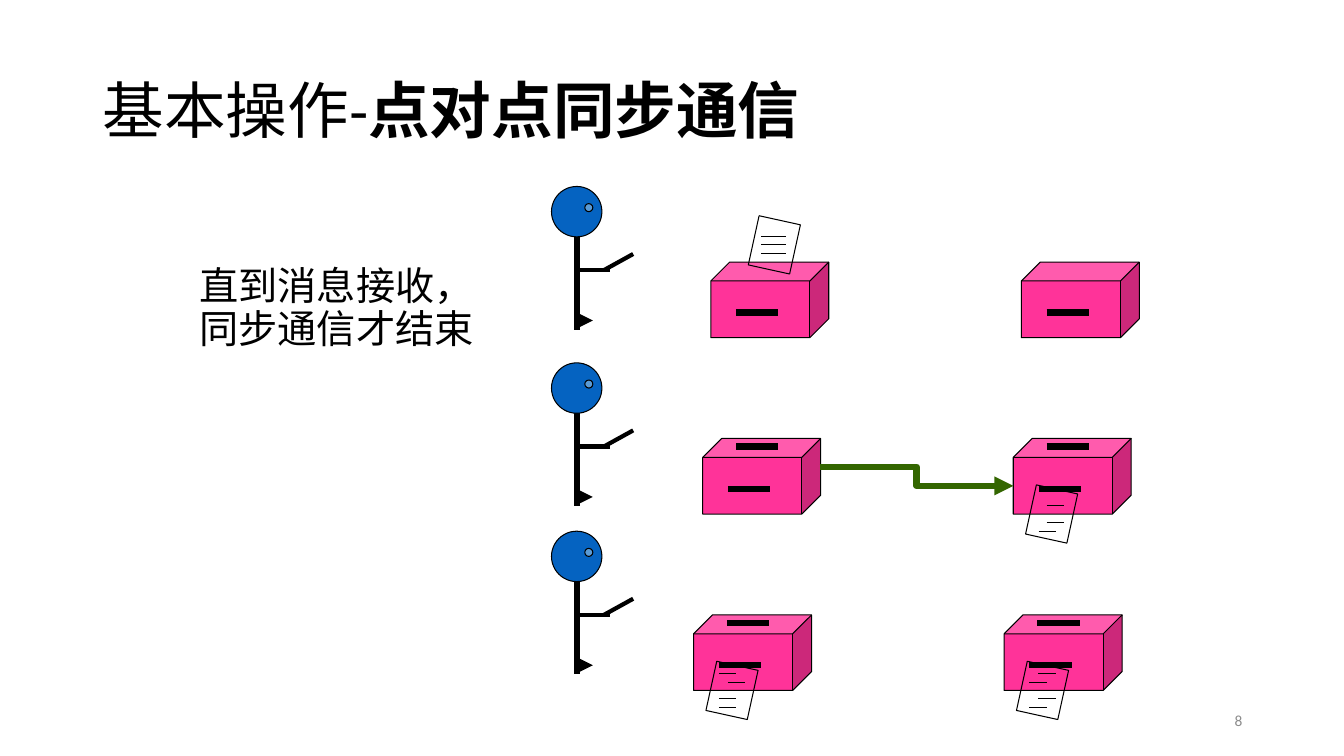
from dataclasses import dataclass

from lxml.etree import SubElement
from pptx import Presentation
from pptx.dml.color import RGBColor
from pptx.enum.shapes import MSO_CONNECTOR, MSO_SHAPE
from pptx.enum.text import MSO_ANCHOR, PP_ALIGN
from pptx.oxml.ns import qn
from pptx.util import Inches, Pt


@dataclass(frozen=True)
class Theme:
    font: str = "Calibri"
    black: str = "000000"
    grey: str = "8C8C8C"
    head: str = "0563C1"
    eye: str = "5B9BD5"
    mailbox: str = "FF3399"
    arrow: str = "336600"
    title_size: float = 44
    body_size: float = 28
    number_size: float = 11
    thin: float = 0.75
    medium: float = 3
    thick: float = 4.5


THEME = Theme()
COLUMN_GAP = 3.08

# Ruled lines on a letter: (x, y) offsets from its corner
FULL_RULES = [(0.08, 0.17), (0.08, 0.25), (0.08, 0.34)]
ARRIVED_RULES = [(0.16, 0.17), (0.16, 0.33), (0.08, 0.42)]
LEFT_RULES = [(0.08, 0.08), (0.17, 0.17), (0.08, 0.33), (0.08, 0.42)]
RIGHT_RULES = [(0.17, 0.08), (0.08, 0.17), (0.17, 0.33), (0.08, 0.42)]


def add_text(page, text, left, top, width, height, *, size, color=THEME.black,
             bold_part="", anchor=MSO_ANCHOR.TOP, align=PP_ALIGN.LEFT, spacing=1.0):
    """Add a one-paragraph text box; bold_part follows the plain text."""
    box = page.shapes.add_textbox(Inches(left), Inches(top), Inches(width), Inches(height))
    frame = box.text_frame
    frame.word_wrap = True
    frame.vertical_anchor = anchor
    para = frame.paragraphs[0]
    para.alignment = align
    para.line_spacing = spacing
    for part, bold in ((text, False), (bold_part, True)):
        if part:
            span = para.add_run()
            span.text = part
            span.font.name = THEME.font
            span.font.size = Pt(size)
            span.font.bold = bold
            span.font.color.rgb = RGBColor.from_string(color)


def add_figure(page, kind, left, top, width, height, *, fill=None, rotation=0):
    """Add a thinly outlined preset shape, hollow when fill is None."""
    shape = page.shapes.add_shape(kind, Inches(left), Inches(top), Inches(width), Inches(height))
    shape.shadow.inherit = False
    shape.rotation = rotation
    if fill:
        shape.fill.solid()
        shape.fill.fore_color.rgb = RGBColor.from_string(fill)
    else:
        shape.fill.background()
    shape.line.color.rgb = RGBColor.from_string(THEME.black)
    shape.line.width = Pt(THEME.thin)


def add_line(page, x1, y1, x2, y2, *, weight, color=THEME.black,
             kind=MSO_CONNECTOR.STRAIGHT, arrow=False):
    line = page.shapes.add_connector(kind, Inches(x1), Inches(y1), Inches(x2), Inches(y2))
    line.line.color.rgb = RGBColor.from_string(color)
    line.line.width = Pt(weight)
    if arrow:
        SubElement(line.line._get_or_add_ln(), qn("a:tailEnd"), type="triangle")
    SubElement(line._element.spPr, qn("a:effectLst"))


def add_person(page, top, left=5.47):
    """Stick figure seen from the side: body, foot, arm, head and eye."""
    spine = left + 0.25
    add_line(page, spine, top + 0.5, spine, top + 1.42, weight=THEME.thick)
    add_line(page, left + 0.33, top + 1.33, left + 0.41, top + 1.33,
             weight=THEME.medium, arrow=True)
    add_line(page, spine, top + 0.83, left + 0.58, top + 0.83, weight=THEME.medium)
    add_line(page, left + 0.52, top + 0.83, left + 0.81, top + 0.67, weight=THEME.medium)
    add_figure(page, MSO_SHAPE.OVAL, left, top, 0.5, 0.5, fill=THEME.head)
    add_figure(page, MSO_SHAPE.OVAL, left + 0.33, top + 0.17, 0.08, 0.08, fill=THEME.eye)


def add_mailbox(page, left, top, *, top_slot=True):
    add_figure(page, MSO_SHAPE.CUBE, left, top, 1.17, 0.75, fill=THEME.mailbox)
    slots = [(0.25, 0.5)] + ([(0.33, 0.08)] if top_slot else [])
    for x, y in slots:
        add_line(page, left + x, top + y, left + x + 0.42, top + y, weight=THEME.thick)


def add_letter(page, left, top, rules, rule_width=0.17):
    add_figure(page, MSO_SHAPE.RECTANGLE, left, top, 0.42, 0.5, rotation=12.4)
    for x, y in rules:
        add_line(page, left + x, top + y, left + x + rule_width, top + y, weight=THEME.thin)


def main():
    deck = Presentation()
    deck.slide_width, deck.slide_height = Inches(13.33), Inches(7.5)
    page = deck.slides.add_slide(deck.slide_layouts[6])

    # Title and statement
    add_text(page, "基本操作-", 0.92, 0.4, 11.5, 1.45, size=THEME.title_size,
             bold_part="点对点同步通信", anchor=MSO_ANCHOR.MIDDLE, spacing=0.9)
    add_text(page, "直到消息接收，同步通信才结束", 1.88, 2.6, 2.93, 1.67,
             size=THEME.body_size, spacing=0.9)

    # The sender at each of the three stages
    for top in (1.85, 3.6, 5.27):
        add_person(page, top)

    # Sending and receiving mailboxes, one row per stage
    for left, top, top_slot in ((7.05, 2.6, False), (6.97, 4.35, True), (6.88, 6.1, True)):
        for column in range(2):
            add_mailbox(page, left + column * COLUMN_GAP, top, top_slot=top_slot)

    # Letters: posted, arrived, acknowledged on both sides
    add_letter(page, 7.47, 2.18, FULL_RULES, rule_width=0.25)
    add_letter(page, 10.22, 4.85, ARRIVED_RULES)
    add_letter(page, 7.05, 6.6, LEFT_RULES)
    add_letter(page, 7.05 + COLUMN_GAP, 6.6, RIGHT_RULES)

    # Message transfer
    add_line(page, 8.13, 4.63, 10.05, 4.82, weight=THEME.thick, color=THEME.arrow,
             kind=MSO_CONNECTOR.ELBOW, arrow=True)

    # Page number
    add_text(page, "8", 9.42, 6.95, 3, 0.4, size=THEME.number_size, color=THEME.grey,
             anchor=MSO_ANCHOR.MIDDLE, align=PP_ALIGN.RIGHT)

    deck.save("out.pptx")


if __name__ == "__main__":
    main()
